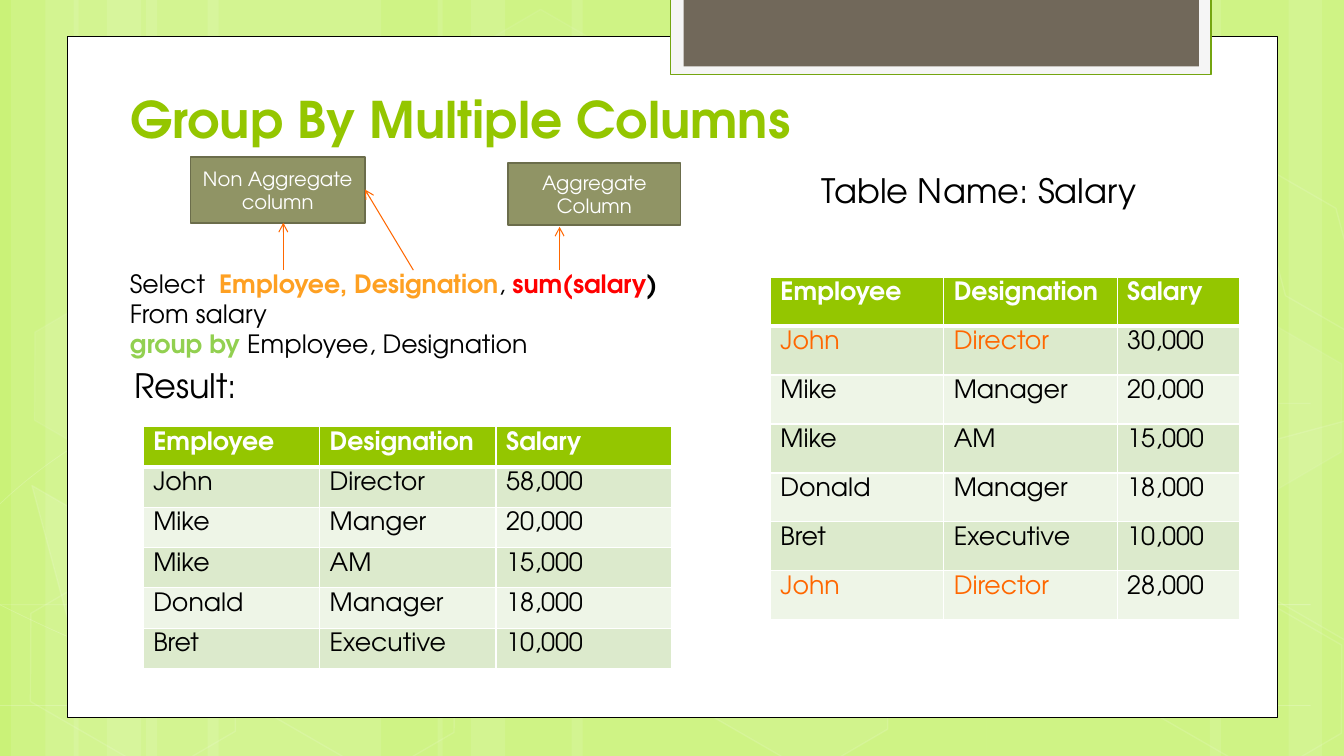
import math
from lxml import etree
from pptx import Presentation
from pptx import util as u
from pptx.dml.color import RGBColor
from pptx.enum import shapes, text
from pptx.oxml.ns import qn

FONT = "TeX Gyre Adventor"
WHITE = RGBColor(0xFF, 0xFF, 0xFF)
BLACK = RGBColor(0, 0, 0)
LIME = RGBColor(0xCA, 0xF2, 0x78)
GREEN = RGBColor(0x94, 0xC6, 0x00)
EDGE = RGBColor(0x74, 0xA5, 0x10)
PALE = RGBColor(0xF5, 0xF5, 0xF5)
BROWN = RGBColor(0x71, 0x68, 0x5A)
OLIVE = RGBColor(0x90, 0x94, 0x65)
MOSS = RGBColor(0x6B, 0x6D, 0x4B)
ORANGE = RGBColor(0xFF, 0x67, 0x00)
AMBER = RGBColor(0xFE, 0xA0, 0x22)
RED = RGBColor(0xFF, 0, 0)
LEAF = RGBColor(0x92, 0xD0, 0x50)
BANDS = [RGBColor(0xEE, 0xF5, 0xE7), RGBColor(0xDC, 0xEA, 0xCC)]


def paint(shape, fill=None, line=None, width=1, alpha=100, fade=100):
    """Set fill, line and their opacity in percent."""
    shape.shadow.inherit = False
    for form, color, part in ((shape.fill, fill, alpha),
                              (shape.line.fill, line, fade)):
        if color is None:
            form.background()
            continue
        form.solid()
        form.fore_color.rgb = color
        if part < 100:
            for node in form._xPr.iter(qn("a:srgbClr")):
                etree.SubElement(node, qn("a:alpha"), val=str(part * 1000))
    if line is not None:
        shape.line.width = u.Pt(width)


def style(font, size, color, bold=False):
    """Set the face, size, colour and weight of a font."""
    font.name = FONT
    font.size = u.Pt(size)
    font.color.rgb = color
    font.bold = bold


deck = Presentation()
deck.slide_width, deck.slide_height = u.Inches(13.33), u.Inches(7.5)
slide = deck.slides.add_slide(deck.slide_layouts[1])
slide.background.fill.solid()
slide.background.fill.fore_color.rgb = LIME
pool = slide.shapes
RECT = shapes.MSO_SHAPE.RECTANGLE

# Backdrop: stripes, waves and hexagons
for left, wide, turn in [
        (1.45, 2.33, 0), (0.11, 0.67, 0), (0.45, 1.11, 0), (2.06, 2.33, 0),
        (0.73, 0.67, 0), (1.06, 1.11, 0), (9.78, 2.33, 180), (12.78, 0.67, 180),
        (12, 1.11, 180), (5.67, 4.11, 0), (4.34, 0.67, 0), (4.67, 1.11, 0)]:
    stripe = pool.add_shape(RECT, u.Inches(left), 0, u.Inches(wide), u.Inches(7.5))
    stripe.rotation = turn
    paint(stripe, WHITE, alpha=10)

# Each wave is a start point followed by cubic curves of three points
waves = [
    [(0.1, 6.73), (0.82, 6.76), (1.54, 6.79), (2.54, 6.78), (3.54, 6.77),
     (4.77, 6.75), (6.1, 6.65), (7.44, 6.55), (9.33, 6.36), (10.55, 6.17),
     (11.78, 5.98), (13.03, 5.68), (13.43, 5.51)],
    [(0.1, 4.77), (0.48, 4.61), (0.86, 4.46), (1.62, 4.31), (2.38, 4.16),
     (3.45, 3.94), (4.63, 3.87), (5.82, 3.8), (7.25, 3.79), (8.72, 3.87),
     (10.19, 3.95), (12.63, 4.26), (13.43, 4.34)],
    [(0.08, 6.17), (1.69, 6.72), (3.3, 7.27), (4.46, 7.49)],
    [(0.1, 5.78), (0.51, 5.89), (0.93, 6), (1.71, 6.16), (2.48, 6.31),
     (3.64, 6.56), (4.75, 6.73), (5.86, 6.9), (7.27, 7.08), (8.37, 7.18),
     (9.48, 7.29), (10.66, 7.33), (11.37, 7.36), (12.07, 7.4), (12.25, 7.38),
     (12.6, 7.38), (12.94, 7.37), (13.19, 7.35), (13.43, 7.34)],
    [(3.23, 7.49), (3.47, 7.29), (3.7, 7.09), (4.03, 6.91), (4.35, 6.73),
     (4.8, 6.53), (5.17, 6.39), (5.54, 6.25), (5.77, 6.19), (6.26, 6.09),
     (6.75, 5.99), (7.65, 5.85), (8.11, 5.78), (8.58, 5.71), (8.65, 5.71),
     (9.07, 5.69), (9.48, 5.66), (10.13, 5.63), (10.59, 5.62), (11.05, 5.61),
     (11.82, 5.62), (11.82, 5.62), (12.1, 5.62), (12.4, 5.62), (12.7, 5.62),
     (12.95, 5.63), (13.17, 5.64), (13.29, 5.65), (13.41, 5.66), (13.37, 5.65),
     (13.41, 5.66)],
]
for wave in waves:
    path = pool.build_freeform(*wave[0], scale=u.Inches(1))
    path.add_line_segments(wave[1:], close=False)
    curve = path.convert_to_shape()
    legs = list(curve._element.iter(qn("a:lnTo")))
    track = legs[0].getparent()
    for i in range(0, len(legs), 3):
        bend = etree.SubElement(track, qn("a:cubicBezTo"))
        for leg in legs[i:i + 3]:
            bend.append(leg[0])
            track.remove(leg)
    paint(curve, None, WHITE, 0.5, fade=20)

for left, top, alpha, fade in [
        (4.45, 0.36, 4, 8), (6.62, 5.89, 6, 12), (0.15, 5.91, 0, 12),
        (0.19, 3.12, 7, 8), (2.32, 5.92, 0, 12), (11.12, 5.93, 0, 12),
        (11.12, 3.14, 7, 8)]:
    cell = pool.add_shape(shapes.MSO_SHAPE.HEXAGON, u.Inches(left), u.Inches(top),
                          u.Inches(2.34), u.Inches(1.52))
    cell.adjustments[0] = 0.285
    cell.rotation = 30
    paint(cell, WHITE if alpha else None, WHITE, 1, alpha, fade)

# Cut hexagons: corners as seen, turned back about the centre, then rotated
cos, sin = math.cos(math.pi / 6), math.sin(math.pi / 6)
for alpha, (x, y), dots in [
        (10, (0.48, 5.35), [(0, 4.34), (0.13, 4.28), (1.15, 4.87), (1.27, 5.81),
                            (0.39, 6.18), (0.24, 6.09)]),
        (4, (13.13, 5.2), [(12.35, 4.74), (13.23, 4.37), (13.32, 4.43),
                           (13.57, 6.25), (13.49, 6.28), (12.47, 5.69)]),
        (0, (13.13, 2.41), [(12.35, 1.96), (13.23, 1.59), (13.34, 1.65),
                            (13.57, 3.46), (13.49, 3.5), (12.47, 2.91)])]:
    flat = [(x + (a - x) * cos + (b - y) * sin, y - (a - x) * sin + (b - y) * cos)
            for a, b in dots]
    path = pool.build_freeform(*flat[0], scale=u.Inches(1))
    path.add_line_segments(flat[1:])
    cut = path.convert_to_shape()
    cut.rotation = 30
    paint(cut, WHITE if alpha else None, WHITE, 1, alpha, 12)

# White panel and the tab at its top
for box, fill, line, width in [
        ((0.67, 0.36, 12, 6.76), WHITE, BLACK, 0.5),
        ((6.65, -0.02, 5.36, 0.76), PALE, EDGE, 1.25),
        ((6.78, -0.02, 5.11, 0.68), BROWN, None, 0)]:
    paint(pool.add_shape(RECT, *map(u.Inches, box)), fill, line, width)

# Title, result heading and table name
title, body = pool.title, slide.placeholders[1]
label = pool.add_textbox(0, 0, 0, 0)
for item, box, words, size, color in [
        (title, (1.19, 0.82, 10.24, 0.7), "Group By Multiple Columns", 36, GREEN),
        (body, (1.16, 2.17, 9.88, 4.19), "Result:", 24, BLACK),
        (label, (8.05, 1.64, 3.56, 0.5), "Table Name: Salary", 24, BLACK)]:
    item.left, item.top, item.width, item.height = map(u.Inches, box)
    pool._spTree.append(item._element)
    frame = item.text_frame
    frame.text = words
    frame.word_wrap = True
    frame.auto_size = text.MSO_AUTO_SIZE.NONE
    frame.paragraphs[0].alignment = text.PP_ALIGN.LEFT
    style(frame.paragraphs[0].font, size, color, item is title)
title.text_frame.vertical_anchor = text.MSO_ANCHOR.BOTTOM
body.text_frame.margin_top = u.Inches(1.45)
head = body.text_frame.paragraphs[0]
head.space_before = u.Pt(0)
props = head._p.get_or_add_pPr()
props.set("marL", str(u.Inches(0.07)))
props.set("indent", "0")
props.insert_element_before(props.makeelement(qn("a:buNone")), "a:defRPr")

# Query
query = pool.add_textbox(*map(u.Inches, (1.19, 2.61, 5.47, 1.62))).text_frame
query.word_wrap = False
lines = [
    [("Select  ", BLACK, False), ("Employee, Designation", AMBER, True),
     (", ", BLACK, False), ("sum(salary", RED, True), (")", BLACK, True)],
    [("From salary", BLACK, False)],
    [("group by ", LEAF, True), ("Employee, Designation", BLACK, False)],
]
for i, line in enumerate(lines):
    para = query.add_paragraph() if i else query.paragraphs[0]
    for words, color, bold in line:
        run = para.add_run()
        run.text = words
        style(run.font, 18, color, bold)

# Callouts and their arrows
for box, words in [((5.04, 1.62, 1.71, 0.61), "Aggregate Column"),
                   ((1.89, 1.56, 1.73, 0.65), "Non Aggregate column")]:
    note = pool.add_shape(RECT, *map(u.Inches, box))
    paint(note, OLIVE, MOSS, 1.25)
    note.text_frame.text = words
    note.text_frame.word_wrap = True
    note.text_frame.vertical_anchor = text.MSO_ANCHOR.MIDDLE
    note.text_frame.paragraphs[0].alignment = text.PP_ALIGN.CENTER
    style(note.text_frame.paragraphs[0].font, 14, WHITE)
for ends in [(4.1, 2.68, 3.62, 1.88), (5.55, 2.68, 5.55, 2.25), (2.81, 2.68, 2.81, 2.21)]:
    arrow = pool.add_connector(shapes.MSO_CONNECTOR.STRAIGHT, *map(u.Inches, ends))
    arrow.line.color.rgb = ORANGE
    arrow.line.width = u.Pt(0.75)
    etree.SubElement(arrow.line._get_or_add_ln(), qn("a:tailEnd"), type="arrow")
    etree.SubElement(arrow._element.spPr, qn("a:effectLst"))

# Tables: salary on the right, grouped result on the left
top_row = ("Employee", "Designation", "Salary")
salary = [top_row, ("John", "Director", "30,000"), ("Mike", "Manager", "20,000"),
          ("Mike", "AM", "15,000"), ("Donald", "Manager", "18,000"),
          ("Bret", "Executive", "10,000"), ("John", "Director", "28,000")]
result = [top_row, ("John", "Director", "58,000"), ("Mike", "Manger", "20,000"),
          *salary[3:6]]
for rows, left, top, wides, tall, mark in [
        (salary, 7.64, 2.75, (1.72, 1.72, 1.22), 3.4, "John"),
        (result, 1.42, 4.23, (1.75, 1.75, 1.74), 2.4, None)]:
    grid = pool.add_table(len(rows), 3, u.Inches(left), u.Inches(top),
                          u.Inches(sum(wides)), u.Inches(tall)).table
    for col, wide in zip(grid.columns, wides):
        col.width = u.Inches(wide)
    for r, row in enumerate(rows):
        for c, words in enumerate(row):
            cell = grid.cell(r, c)
            cell.text = words
            hot = row[0] == mark and c < 2
            style(cell.text_frame.paragraphs[0].font, 18,
                  WHITE if r == 0 else ORANGE if hot else BLACK, r == 0)
            for side in "LRTB":
                thick = (r, side) in [(0, "B"), (1, "T")]
                rule = etree.SubElement(cell._tc.get_or_add_tcPr(), qn("a:ln" + side),
                                        w=str(u.Pt(3 if thick else 1)))
                solid = etree.SubElement(rule, qn("a:solidFill"))
                etree.SubElement(solid, qn("a:srgbClr"), val=str(WHITE))
            cell.fill.solid()
            cell.fill.fore_color.rgb = BANDS[r % 2] if r else GREEN

deck.save("out.pptx")
